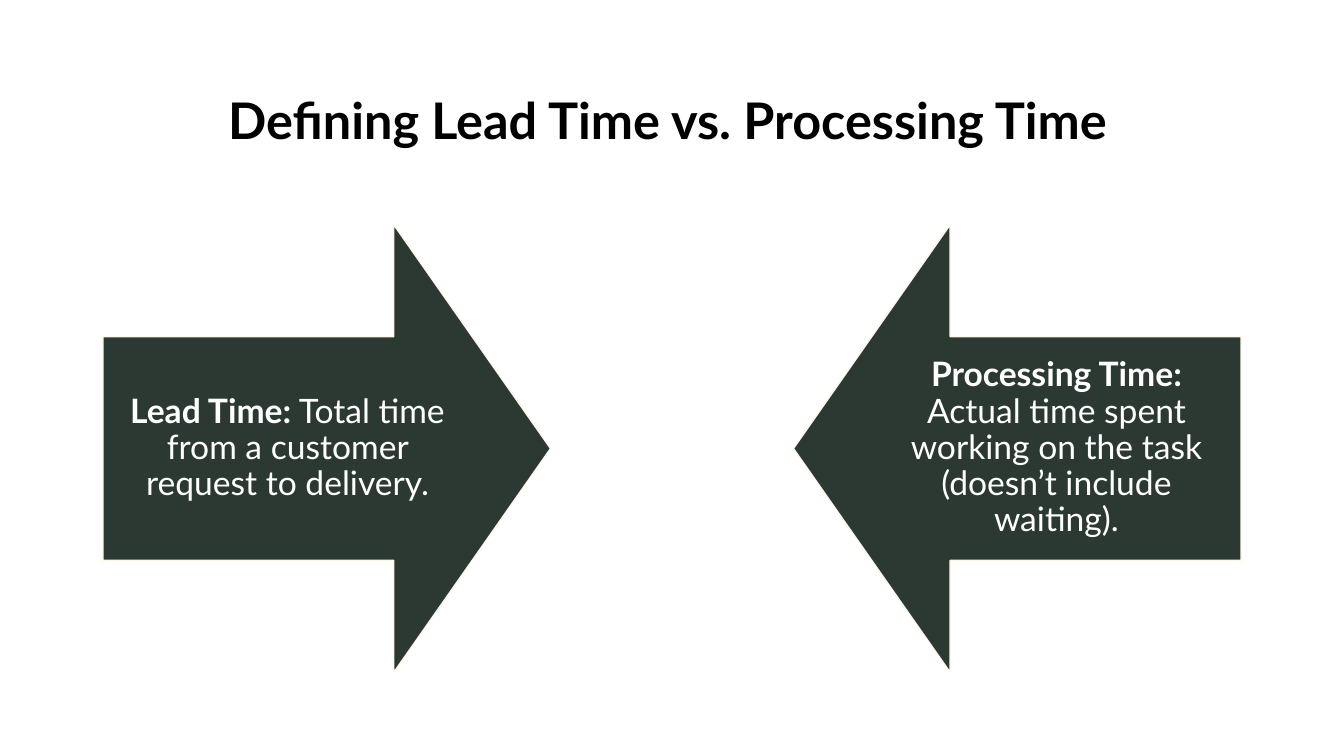
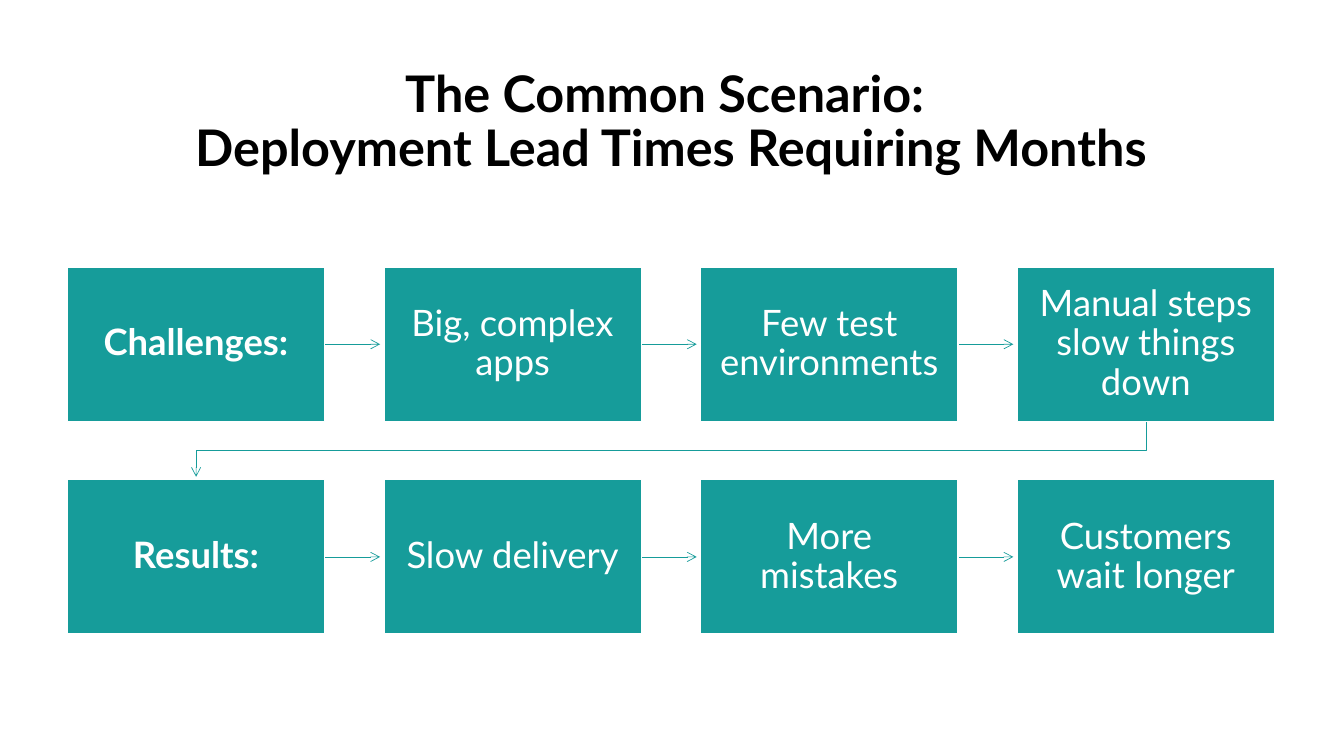
from lxml import etree
from pptx import Presentation
from pptx.dml.color import RGBColor
from pptx.enum.shapes import MSO_CONNECTOR, MSO_SHAPE
from pptx.enum.text import MSO_ANCHOR, PP_ALIGN
from pptx.oxml.ns import qn
from pptx.util import Inches, Pt

CENTER = PP_ALIGN.CENTER
MIDDLE = MSO_ANCHOR.MIDDLE
STRAIGHT = MSO_CONNECTOR.STRAIGHT
RECTANGLE = MSO_SHAPE.RECTANGLE
RIGHT_ARROW = MSO_SHAPE.RIGHT_ARROW
LEFT_ARROW = MSO_SHAPE.LEFT_ARROW

COLORS = {
    "ink": "000000",
    "white": "FFFFFF",
    "forest": "2C3932",
    "cream": "FDF6EA",
    "teal": "169C9A",
}
FONT = "Lato"


def rgb(name):
    return RGBColor.from_string(COLORS[name])


def write_text(shape, runs, size, color="white", inset=0.1, inset_y=None):
    frame = shape.text_frame
    frame.word_wrap = True
    frame.vertical_anchor = MIDDLE
    frame.margin_left = frame.margin_right = Inches(inset)
    frame.margin_top = frame.margin_bottom = Inches(inset if inset_y is None else inset_y)
    paragraph = frame.paragraphs[0]
    paragraph.alignment = CENTER
    paragraph.line_spacing = 0.9
    for text, bold in runs:
        for index, line in enumerate(text.split("\n")):
            if index:
                paragraph.add_line_break()
            run = paragraph.add_run()
            run.text = line
            run.font.name = FONT
            run.font.size = Pt(size)
            run.font.bold = bold
            run.font.color.rgb = rgb(color)


class Deck:
    def __init__(self):
        self.file = Presentation()
        self.file.slide_width = Inches(13.33)
        self.file.slide_height = Inches(7.5)
        self.slide = None

    def new_slide(self, title, left, width):
        self.slide = self.file.slides.add_slide(self.file.slide_layouts[6])
        heading = self.slide.shapes.add_textbox(
            Inches(left), Inches(0.6), Inches(width), Inches(1.24))
        write_text(heading, [(title, True)], size=36, color="ink", inset_y=0.05)

    def block(self, kind, left, top, width, height, runs, fill, outline, **text_format):
        shape = self.slide.shapes.add_shape(
            kind, Inches(left), Inches(top), Inches(width), Inches(height))
        shape.shadow.inherit = False
        shape.fill.solid()
        shape.fill.fore_color.rgb = rgb(fill)
        shape.line.color.rgb = rgb(outline)
        shape.line.width = Pt(1)
        write_text(shape, runs, **text_format)
        return shape

    def big_arrow(self, kind, left, runs):
        arrow = self.block(kind, left, 2.23, 4.44, 4.44, runs,
                           "forest", "cream", size=24, inset=0.19)
        arrow.adjustments[0] = 0.5
        arrow.adjustments[1] = 0.35

    def step_arrow(self, start, end, y):
        arrow = self.slide.shapes.add_connector(
            STRAIGHT, Inches(start), Inches(y), Inches(end), Inches(y))
        self.style_arrow(arrow)
        etree.SubElement(arrow.element.spPr, qn("a:effectLst"))

    def bent_arrow(self, points):
        corners = [(Inches(x), Inches(y)) for x, y in points]
        builder = self.slide.shapes.build_freeform(*corners[0])
        builder.add_line_segments(corners[1:], close=False)
        arrow = builder.convert_to_shape()
        arrow.fill.background()
        self.style_arrow(arrow)
        arrow.shadow.inherit = False

    def style_arrow(self, arrow):
        arrow.line.color.rgb = rgb("teal")
        arrow.line.width = Pt(0.5)
        outline = arrow.element.spPr.find(qn("a:ln"))
        etree.SubElement(outline, qn("a:tailEnd"), type="arrow")


def add_definitions(deck):
    deck.new_slide("Defining Lead Time vs. Processing Time", left=1.61, width=10.02)
    deck.big_arrow(RIGHT_ARROW, 1.02, [
        ("Lead Time:", True),
        (" Total time from a customer request to delivery.", False)])
    deck.big_arrow(LEFT_ARROW, 7.87, [
        ("Processing Time:", True),
        (" Actual time spent working on the task (doesn’t include waiting).", False)])


def add_scenario(deck):
    deck.new_slide("The Common Scenario: \nDeployment Lead Times Requiring Months",
                   left=0.67, width=11.97)
    rows = [
        ["Challenges:", "Big, complex apps", "Few test environments",
         "Manual steps slow things down"],
        ["Results:", "Slow delivery", "More mistakes", "Customers wait longer"],
    ]
    width, height, arrow_length = 2.55, 1.53, 0.55
    lefts = [0.67 + 3.14 * column for column in range(4)]
    tops = [2.65, 4.76]

    first_center, last_center = lefts[0] + width / 2, lefts[-1] + width / 2
    row_end = tops[0] + height
    deck.bent_arrow([(last_center, row_end), (last_center, 4.47),
                     (first_center, 4.47), (first_center, row_end + arrow_length)])

    for top, steps in zip(tops, rows):
        for left in lefts[:-1]:
            start = left + width
            deck.step_arrow(start, start + arrow_length, top + height / 2)
        for left, step in zip(lefts, steps):
            deck.block(RECTANGLE, left, top, width, height,
                       [(step, left == lefts[0])], "teal", "white",
                       size=26, inset=0.13)


def main():
    deck = Deck()
    add_definitions(deck)
    add_scenario(deck)
    deck.file.save("out.pptx")


if __name__ == "__main__":
    main()
